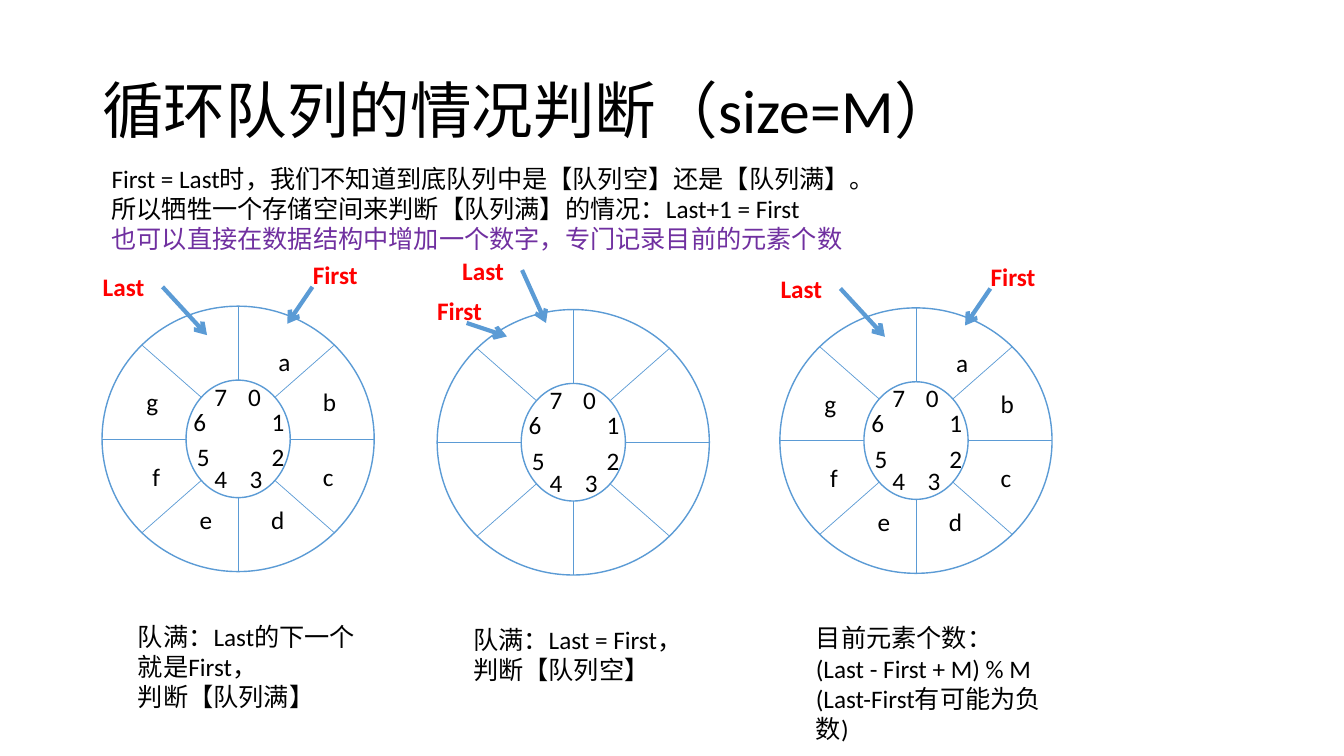
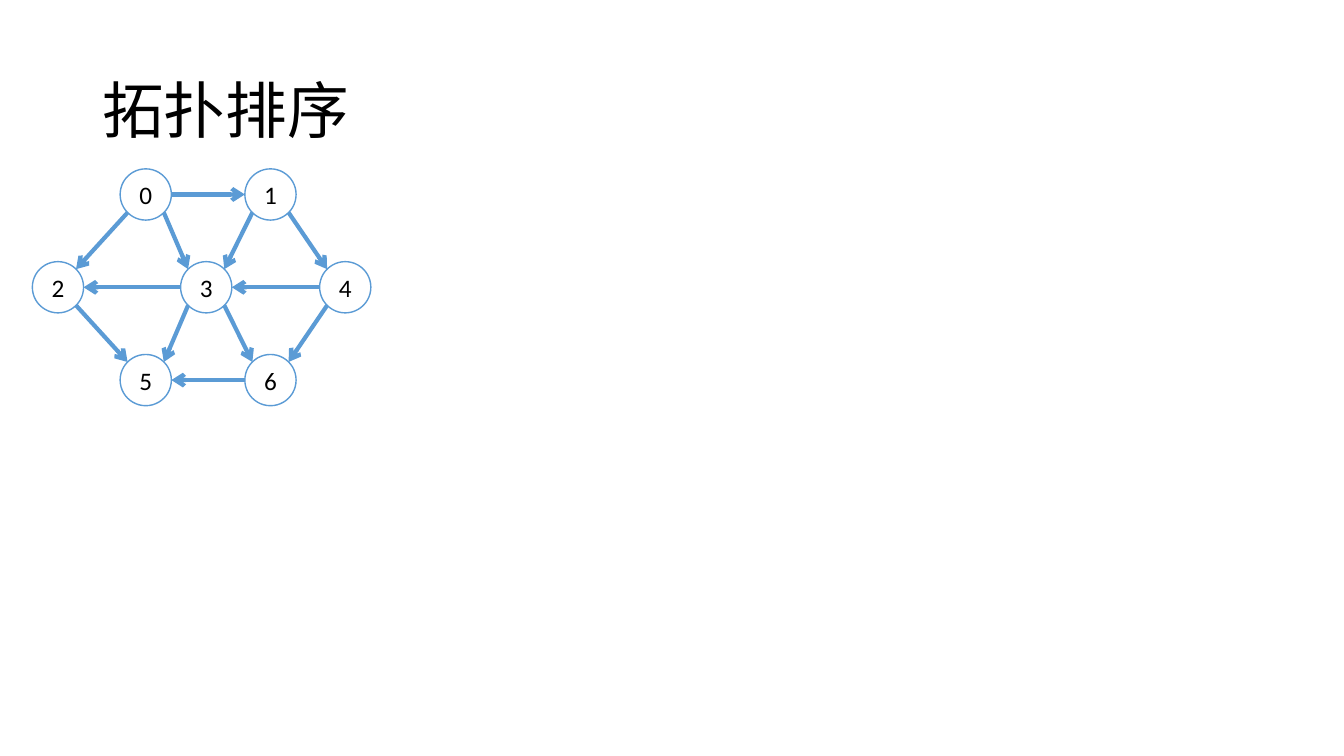
from dataclasses import dataclass
from math import cos, hypot, pi, sin

from lxml.etree import SubElement
from pptx import Presentation
from pptx.dml.color import RGBColor
from pptx.enum.shapes import MSO_CONNECTOR as Connector, MSO_SHAPE as Preset
from pptx.enum.text import MSO_ANCHOR as Anchor, MSO_AUTO_SIZE as AutoSize, PP_ALIGN as Align
from pptx.oxml.ns import qn
from pptx.util import Inches, Pt

COLUMNS, ROWS = 160, 90


@dataclass(frozen=True)
class Theme:
    font: str = "Calibri"
    ink: str = "000000"
    paper: str = "FFFFFF"
    accent: str = "5B9BD5"
    pointer: str = "FF0000"
    remark: str = "7030A0"
    title_size: float = 44
    body_size: float = 18
    hairline: float = 0.5
    outline: float = 1
    arrow: float = 3


def apply(target, formats):
    for name, value in formats.items():
        setattr(target, name, value)


class Deck:
    """Holds the theme and the current slide; lengths are grid columns and rows."""

    def __init__(self, theme):
        self.theme = theme
        self.presentation = Presentation()
        apply(self.presentation, {"slide_width": Inches(40 / 3), "slide_height": Inches(7.5)})
        self.column = self.presentation.slide_width / COLUMNS
        self.row = self.presentation.slide_height / ROWS
        self.slide = None

    def place(self, *lengths):
        """Turn alternating columns and rows into slide units."""
        return [round(length * (self.row if index % 2 else self.column))
                for index, length in enumerate(lengths)]

    def add_slide(self, title):
        self.slide = self.presentation.slides.add_slide(self.presentation.slide_layouts[6])
        box = self.text(11, 4.8, 138, 17.4, [title], size=self.theme.title_size)
        apply(box.text_frame, {"vertical_anchor": Anchor.MIDDLE, "auto_size": AutoSize.NONE})
        box.text_frame.paragraphs[0].line_spacing = 0.9

    def set_lines(self, frame, lines, size=None, colors=(), bold=False, align=Align.LEFT):
        """Fill a frame, one paragraph a line; colors overrides ink line by line."""
        frame.word_wrap = True
        frame.text = "\n".join(lines)
        for index, paragraph in enumerate(frame.paragraphs):
            paragraph.alignment = align
            apply(paragraph.font, {"name": self.theme.font, "bold": bold,
                                   "size": Pt(size or self.theme.body_size)})
            color = colors[index] if index < len(colors) else self.theme.ink
            paragraph.font.color.rgb = RGBColor.from_string(color)

    def text(self, left, top, width, height, lines, **style):
        box = self.slide.shapes.add_textbox(*self.place(left, top, width, height))
        self.set_lines(box.text_frame, lines, **style)
        return box

    def ellipse(self, center, radii, label=None):
        (x, y), (across, down) = center, radii
        shape = self.slide.shapes.add_shape(
            Preset.OVAL, *self.place(x - across, y - down, 2 * across, 2 * down))
        shape.shadow.inherit = False
        shape.fill.solid()
        shape.fill.fore_color.rgb = RGBColor.from_string(self.theme.paper)
        self.stroke(shape.line, self.theme.outline)
        if label:
            self.set_lines(shape.text_frame, [label], align=Align.CENTER)
            shape.text_frame.vertical_anchor = Anchor.MIDDLE

    def stroke(self, line, width):
        line.color.rgb = RGBColor.from_string(self.theme.accent)
        line.width = Pt(width)

    def line(self, start, end):
        connector = self.slide.shapes.add_connector(
            Connector.STRAIGHT, *self.place(*start, *end))
        self.stroke(connector.line, self.theme.hairline)
        SubElement(connector.element.spPr, qn("a:effectLst"))
        return connector

    def arrow(self, start, end):
        connector = self.line(start, end)
        self.stroke(connector.line, self.theme.arrow)
        SubElement(connector.element.spPr.find(qn("a:ln")), qn("a:tailEnd"), type="arrow")


def shift(point, offset):
    return point[0] + offset[0], point[1] + offset[1]


# Offsets from the centre of a wheel
RIM, HUB = (16.2, 15.8), (6.2, 7)
SLOT_NUMBERS = {"0": (0, -7.5), "1": (2.8, -4.5), "2": (2.8, -0.25), "3": (0.2, 2.35),
                "4": (-4, 2.35), "5": (-6.1, -0.25), "6": (-6.5, -4.5), "7": (-4, -7.5)}
ELEMENTS = {"a": (3.6, -11.65), "b": (8.9, -6.85), "c": (8.9, 2.05), "d": (2.75, 7.2),
            "e": (-5.75, 7.2), "f": (-11.4, 2.05), "g": (-12.1, -6.85)}
# Each pointer: label corner, arrow start, arrow end
FULL_POINTERS = {"First": ((7.7, -21.95), (8.85, -18.1), (5.85, -13.7)),
                 "Last": ((-17.3, -20.55), (-9, -18.1), (-3.7, -12.35))}
EMPTY_POINTERS = {"First": ((-17.4, -18.1), (-12.7, -14.2), (-7.9, -12.6)),
                  "Last": ((-14.4, -22.9), (-6.1, -20.5), (-3.25, -14.2))}

WHEELS = [
    ((28.35, 52.25), ELEMENTS, FULL_POINTERS, 29.3,
     ["队满：Last的下一个就是First，", "判断【队列满】"]),
    ((68.25, 52.65), {}, EMPTY_POINTERS, 29.3,
     ["队满：Last = First，判断【队列空】"]),
    ((109.05, 52.45), ELEMENTS, FULL_POINTERS, 32.3,
     ["目前元素个数：", "(Last - First + M) % M", "(Last-First有可能为负数)"]),
]


def draw_wheel(deck, center, elements, pointers, caption_width, caption):
    for radii in (RIM, HUB):
        deck.ellipse(center, radii)
    for spoke in range(8):
        angle = spoke * pi / 4
        inner, outer = (shift(center, (across * sin(angle), -down * cos(angle)))
                        for across, down in (HUB, RIM))
        deck.line(inner, outer)
    for labels, width in ((SLOT_NUMBERS, 3.85), (elements, 3.1)):
        for label, offset in labels.items():
            deck.text(*shift(center, offset), width, 4.85, [label])
    for label, (corner, start, end) in pointers.items():
        deck.text(*shift(center, corner), 8.3, 4.85, [label],
                  colors=[deck.theme.pointer], bold=True)
        deck.arrow(shift(center, start), shift(center, end))
    deck.text(*shift(center, (-13.1, 21.1)), caption_width, 12.1, caption)


def build_queue_slide(deck):
    deck.add_slide("循环队列的情况判断（size=M）")
    deck.text(12.1, 18.85, 131.4, 12.1, [
        "First = Last时，我们不知道到底队列中是【队列空】还是【队列满】。",
        "所以牺牲一个存储空间来判断【队列满】的情况：Last+1 = First",
        "也可以直接在数据结构中增加一个数字，专门记录目前的元素个数",
    ], colors=[deck.theme.ink, deck.theme.ink, deck.theme.remark])
    for wheel in WHEELS:
        draw_wheel(deck, *wheel)


NODE_RADIUS = 3.05
NODE_ROWS = [{"0": 17.35, "1": 32.2}, {"2": 6.9, "3": 24.55, "4": 41.1},
             {"5": 17.35, "6": 32.2}]
EDGES = "01 14 13 02 03 32 35 36 65 46 43 25".split()


def sign(value):
    return (value > 0) - (value < 0)


def build_graph_slide(deck):
    deck.add_slide("拓扑排序")
    nodes = {label: (x, 23.15 + 11.05 * level)
             for level, row in enumerate(NODE_ROWS) for label, x in row.items()}
    for label, center in nodes.items():
        deck.ellipse(center, (NODE_RADIUS, NODE_RADIUS), label)
    for source, target in EDGES:
        start, end = nodes[source], nodes[target]
        across, down = sign(end[0] - start[0]), sign(end[1] - start[1])
        reach = NODE_RADIUS / hypot(across, down)
        deck.arrow(shift(start, (across * reach, down * reach)),
                   shift(end, (-across * reach, -down * reach)))


def main():
    deck = Deck(Theme())
    build_queue_slide(deck)
    build_graph_slide(deck)
    deck.presentation.save("out.pptx")


if __name__ == "__main__":
    main()
